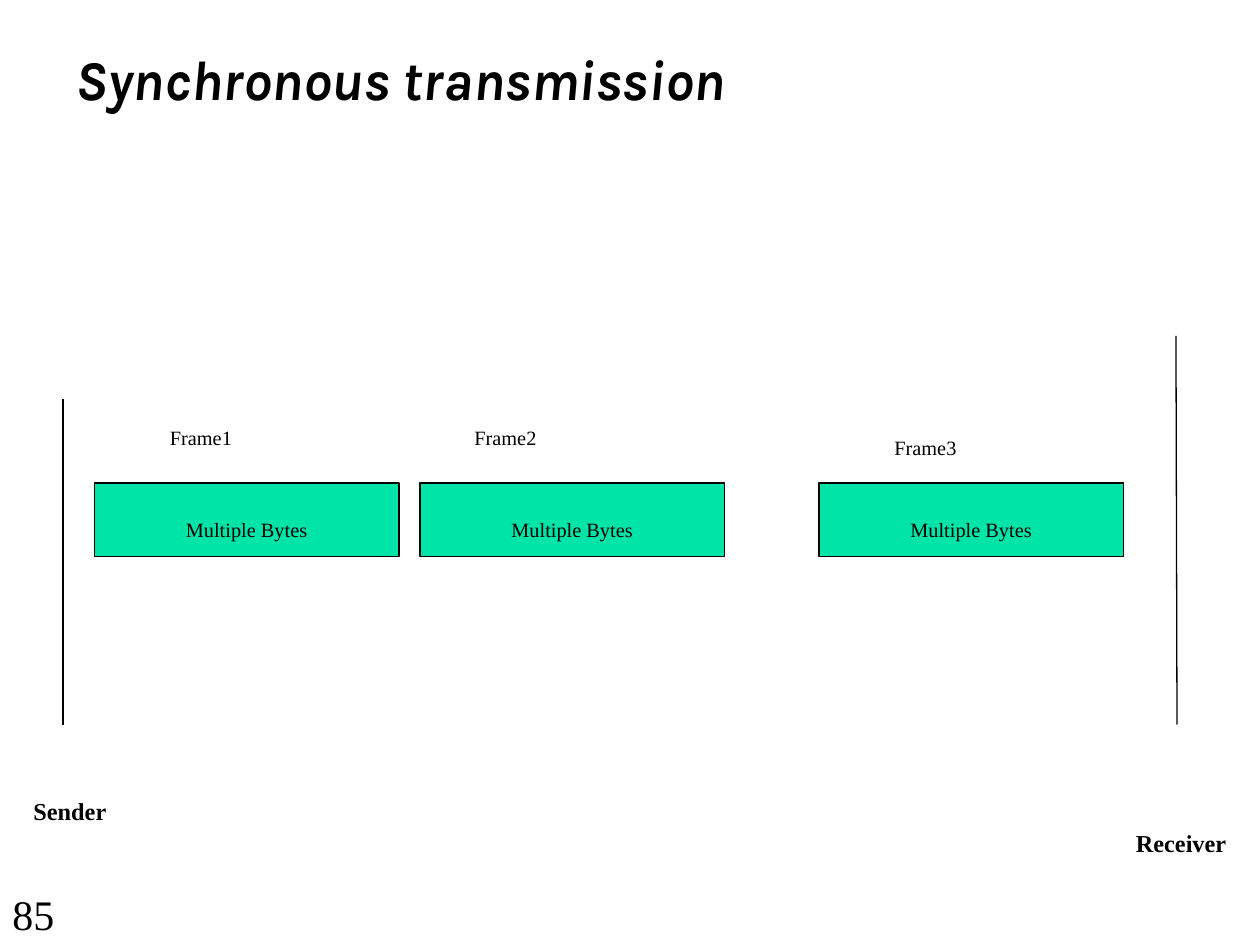
from pptx import Presentation
from pptx.dml.color import RGBColor
from pptx.enum.shapes import MSO_CONNECTOR, MSO_SHAPE
from pptx.enum.text import MSO_ANCHOR, PP_ALIGN
from pptx.oxml.ns import qn
from pptx.util import Inches, Pt
from lxml.etree import SubElement

COLORS = {"ink": "000000", "frame": "00E4A8", "paper": "FFFFFF"}
SERIF = "Times New Roman"
FORMATS = {
    "title": {"name": "Karla", "size": Pt(32), "bold": True, "italic": True},
    "frame": {"name": SERIF, "size": Pt(20)},
    "station": {"name": SERIF, "size": Pt(24), "bold": True},
    "number": {"name": SERIF, "size": Pt(24)},
}
LOWERED = {"frame", "station"}

COLUMNS, ROWS = 120, 90
FRAME_ROW, FRAME_COLUMNS, FRAME_ROWS = 46, 29, 7
FRAME_CONTENT = "Multiple Bytes"
FRAMES = [("Frame1", 9, (15, 38)), ("Frame2", 40, (44, 38)), ("Frame3", 78, (84, 39))]
TIMELINE_END = 69
TIMELINES = [(6, 6, 38), (112, 112.1, 32)]
LABELS = [
    ("Synchronous transmission", "title", (6, 3.6, 108, 12.4), MSO_ANCHOR.TOP),
    ("Sender", "station", (2, 73, 15, 6.2), MSO_ANCHOR.TOP),
    ("Receiver", "station", (107, 76, 13, 6.2), MSO_ANCHOR.TOP),
    ("85", "number", (0, 84, 25, 6), MSO_ANCHOR.BOTTOM),
] + [(name, "frame", (*corner, 19, 5.4), MSO_ANCHOR.TOP) for name, _, corner in FRAMES]

deck = Presentation()
deck.slide_width, deck.slide_height = Inches(10), Inches(7.5)
slide = deck.slides.add_slide(deck.slide_layouts[6])


def color(key):
    return RGBColor.from_string(COLORS[key])


def place(*cells):
    units = (deck.slide_width / COLUMNS, deck.slide_height / ROWS) * 2
    return [round(cell * unit) for cell, unit in zip(cells, units)]


def outline(part):
    part.line.color.rgb = color("ink")
    part.line.width = Pt(0.75)


def write(text_frame, words, style, anchor, align=PP_ALIGN.LEFT, wrap=True):
    text_frame.word_wrap = wrap
    text_frame.vertical_anchor = anchor
    paragraph = text_frame.paragraphs[0]
    paragraph.alignment = align
    run = paragraph.add_run()
    run.text = words
    for attribute, value in FORMATS[style].items():
        setattr(run.font, attribute, value)
    run.font.color.rgb = color("ink")
    if style in LOWERED:
        run.font._element.set("baseline", "-14000")


slide.background.fill.solid()
slide.background.fill.fore_color.rgb = color("paper")

for _, column, _ in FRAMES:
    frame = slide.shapes.add_shape(
        MSO_SHAPE.RECTANGLE, *place(column, FRAME_ROW, FRAME_COLUMNS, FRAME_ROWS)
    )
    frame.shadow.inherit = False
    frame.fill.solid()
    frame.fill.fore_color.rgb = color("frame")
    outline(frame)
    write(frame.text_frame, FRAME_CONTENT, "frame", MSO_ANCHOR.MIDDLE, PP_ALIGN.CENTER, False)

for start_column, end_column, start_row in TIMELINES:
    timeline = slide.shapes.add_connector(
        MSO_CONNECTOR.STRAIGHT, *place(start_column, start_row, end_column, TIMELINE_END)
    )
    outline(timeline)
    SubElement(timeline._element.spPr, qn("a:effectLst"))

for words, style, cells, anchor in LABELS:
    label = slide.shapes.add_textbox(*place(*cells))
    write(label.text_frame, words, style, anchor)

deck.save("out.pptx")
